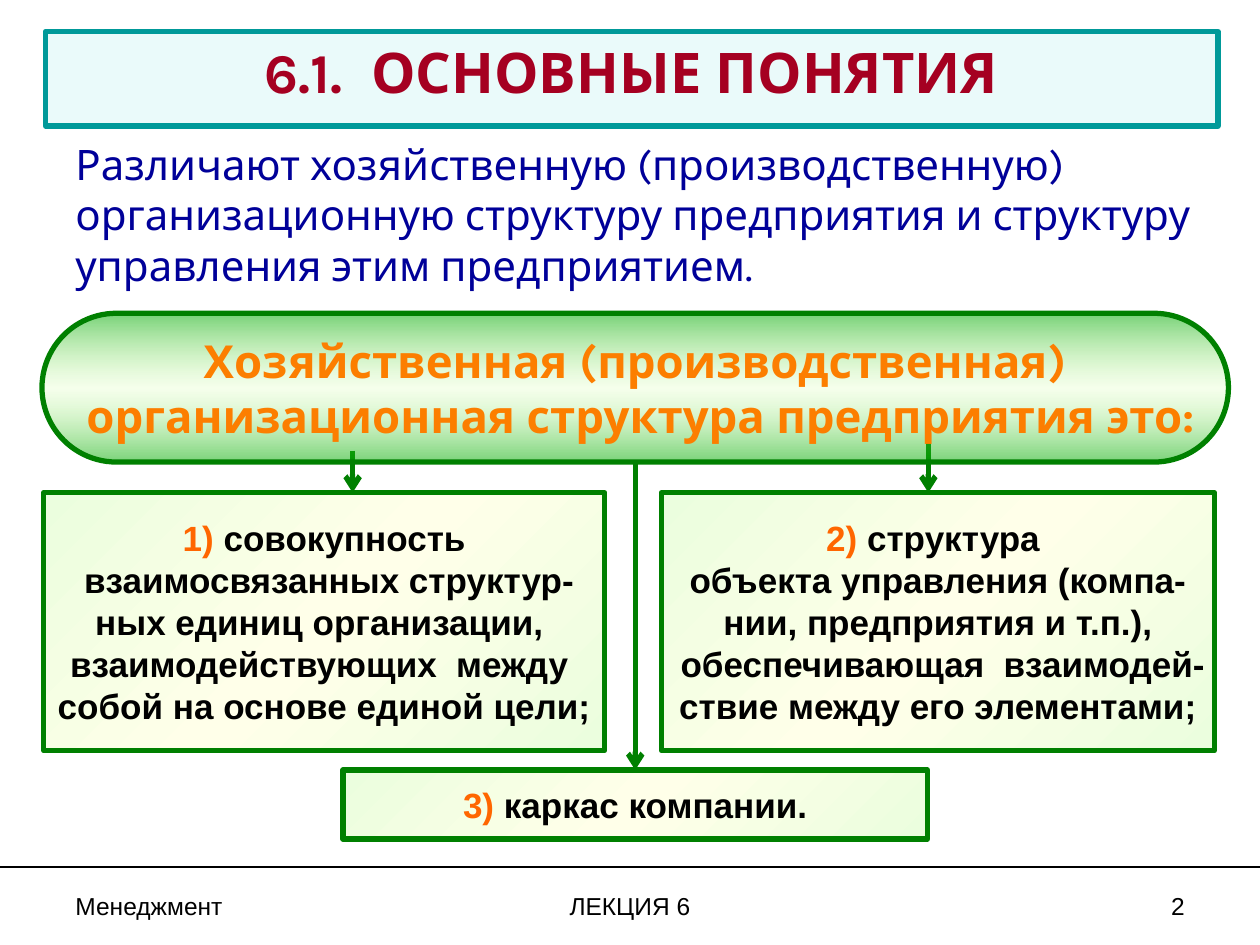
from dataclasses import dataclass
from typing import Any

from lxml.etree import SubElement
from pptx import Presentation
from pptx.dml.color import RGBColor
from pptx.enum.shapes import MSO_CONNECTOR, MSO_SHAPE
from pptx.enum.text import MSO_ANCHOR, PP_ALIGN
from pptx.oxml.ns import qn
from pptx.util import Pt

COLORS = {
    "black": "000000", "green": "008000", "teal": "009999", "mist": "EAFAFA",
    "crimson": "A50021", "navy": "000099", "orange": "FC7E00", "number": "FF6600",
    "leaf": "00AA00", "lime": "CCFF99", "pale": "EBFEDE", "cream": "FFFFE9",
}


@dataclass(frozen=True)
class Style:
    font: str
    size: int
    color: str
    bold: bool = False
    align: Any = PP_ALIGN.CENTER


@dataclass(frozen=True)
class Gradient:
    edge: str
    middle: str
    angle: int
    edge_alpha: int = 100
    middle_alpha: int = 100


@dataclass(frozen=True)
class Panel:
    left: float
    top: float
    width: float
    height: float
    number: str
    lines: tuple[str, ...]


@dataclass(frozen=True)
class Footer:
    left: float
    width: float
    text: str
    align: Any


TITLE = Style("Karla", 32, "crimson", True)
INTRO = Style("Karla", 24, "navy", align=PP_ALIGN.LEFT)
HEADING = Style("Karla", 26, "orange", True)
PANEL = Style("Arial", 20, "black", True)
PILL_FILL = Gradient("leaf", "lime", 90, 53, 18)
PANEL_FILL = Gradient("pale", "cream", 225)
PANEL_TOP, PANEL_HEIGHT = 281.5, 147.5

PANELS = (
    Panel(25, PANEL_TOP, 320.5, PANEL_HEIGHT, "1)", (
        " совокупность", " взаимосвязанных структур-",
        "ных единиц организации, ", "взаимодействующих  между ",
        "собой на основе единой цели;")),
    Panel(378, PANEL_TOP, 316, PANEL_HEIGHT, "2)", (
        " структура ", "объекта управления (компа-", "нии, предприятия и т.п.),",
        " обеспечивающая  взаимодей-", "ствие между его элементами;")),
    Panel(196, 440, 334, 39.5, "3)", (" каркас компании.",)),
)
FOOTERS = (
    Footer(36, 168, "Менеджмент", PP_ALIGN.LEFT),
    Footer(246, 228, "ЛЕКЦИЯ 6", PP_ALIGN.CENTER),
    Footer(516, 168, "2", PP_ALIGN.RIGHT),
)


def rgb(name: str) -> RGBColor:
    return RGBColor.from_string(COLORS[name])


def apply(target: Any, values: dict[str, Any]) -> None:
    for name, value in values.items():
        setattr(target, name, value)


def add_span(para: Any, text: str, style: Style, color: str) -> None:
    span = para.add_run()
    span.text = text
    apply(span.font, {"name": style.font, "size": Pt(style.size), "bold": style.bold})
    span.font.color.rgb = rgb(color)


def write(box: Any, lines: tuple[str, ...], style: Style, number: str = "",
          **frame_values: Any) -> None:
    frame = box.text_frame
    apply(frame, {"word_wrap": True, "vertical_anchor": MSO_ANCHOR.TOP} | frame_values)
    for index, line in enumerate(lines):
        para = frame.add_paragraph() if index else frame.paragraphs[0]
        para.alignment = style.align
        if number and index == 0:
            add_span(para, number, style, "number")
        add_span(para, line, style, style.color)


def add_box(page: Any, kind: Any, bounds: tuple[float, ...], line_color: str) -> Any:
    box = page.shapes.add_shape(kind, *map(Pt, bounds))
    box.shadow.inherit = False
    box.line.color.rgb = rgb(line_color)
    box.line.width = Pt(3)
    return box


def add_text(page: Any, bounds: tuple[float, ...], text: str, style: Style) -> None:
    write(page.shapes.add_textbox(*map(Pt, bounds)), (text,), style)


def fill_gradient(box: Any, gradient: Gradient) -> None:
    box.fill.background()
    empty = box._element.spPr.find(qn("a:noFill"))
    fill = empty.makeelement(qn("a:gradFill"), {"rotWithShape": "1"})
    stops = SubElement(fill, qn("a:gsLst"))
    edge = (gradient.edge, gradient.edge_alpha)
    middle = (gradient.middle, gradient.middle_alpha)
    for place, (color, alpha) in zip((0, 50, 100), (edge, middle, edge)):
        stop = SubElement(stops, qn("a:gs"), pos=str(place * 1000))
        shade = SubElement(stop, qn("a:srgbClr"), val=COLORS[color])
        if alpha < 100:
            SubElement(shade, qn("a:alpha"), val=str(alpha * 1000))
    SubElement(fill, qn("a:lin"), ang=str(gradient.angle * 60000), scaled="0")
    empty.getparent().replace(empty, fill)


def add_line(page: Any, ends: tuple[float, ...], color: str, width: float,
             arrow: bool = False) -> Any:
    line = page.shapes.add_connector(MSO_CONNECTOR.STRAIGHT, *map(Pt, ends))
    line.line.color.rgb = rgb(color)
    line.line.width = Pt(width)
    if arrow:
        SubElement(line.line._get_or_add_ln(), qn("a:tailEnd"), type="arrow")
    SubElement(line._element.spPr, qn("a:effectLst"))
    return line


def add_panel(page: Any, panel: Panel) -> Any:
    bounds = (panel.left, panel.top, panel.width, panel.height)
    box = add_box(page, MSO_SHAPE.RECTANGLE, bounds, "green")
    fill_gradient(box, PANEL_FILL)
    write(box, panel.lines, PANEL, panel.number,
          word_wrap=False, vertical_anchor=MSO_ANCHOR.MIDDLE)
    return box


def main() -> None:
    deck = Presentation()
    apply(deck, {"slide_width": Pt(720), "slide_height": Pt(540)})
    page = deck.slides.add_slide(deck.slide_layouts[6])

    add_line(page, (0, 495.5, 720, 495.5), "black", 1.5)
    title = add_box(page, MSO_SHAPE.RECTANGLE, (26, 18, 670, 54), "teal")
    title.fill.solid()
    title.fill.fore_color.rgb = rgb("mist")
    write(title, ("6.1.  ОСНОВНЫЕ ПОНЯТИЯ",), TITLE)

    add_line(page, (530.5, 251.5, 530.5, PANEL_TOP), "green", 3, True)
    trunk = add_line(page, (363, 264, 363, 440), "green", 3, True)
    add_line(page, (201.5, 257.5, 201.5, PANEL_TOP), "green", 3, True)

    pill = add_box(page, MSO_SHAPE.ROUNDED_RECTANGLE, (24, 179, 678, 85), "green")
    pill.adjustments[0] = 0.5
    fill_gradient(pill, PILL_FILL)
    write(pill, ("Хозяйственная (производственная)",
                 " организационная структура предприятия это:"), HEADING,
          word_wrap=False, vertical_anchor=MSO_ANCHOR.MIDDLE)

    panels = [add_panel(page, panel) for panel in PANELS]
    trunk.begin_connect(pill, 2)
    trunk.end_connect(panels[-1], 0)

    add_text(page, (36, 75.5, 654, 93.5),
             "Различают хозяйственную (производственную) организационную структуру "
             "предприятия и структуру управления этим предприятием.", INTRO)
    for footer in FOOTERS:
        add_text(page, (footer.left, 505.5, footer.width, 24.5), footer.text,
                 Style("Arial", 14, "black", align=footer.align))
    deck.save("out.pptx")


if __name__ == "__main__":
    main()
